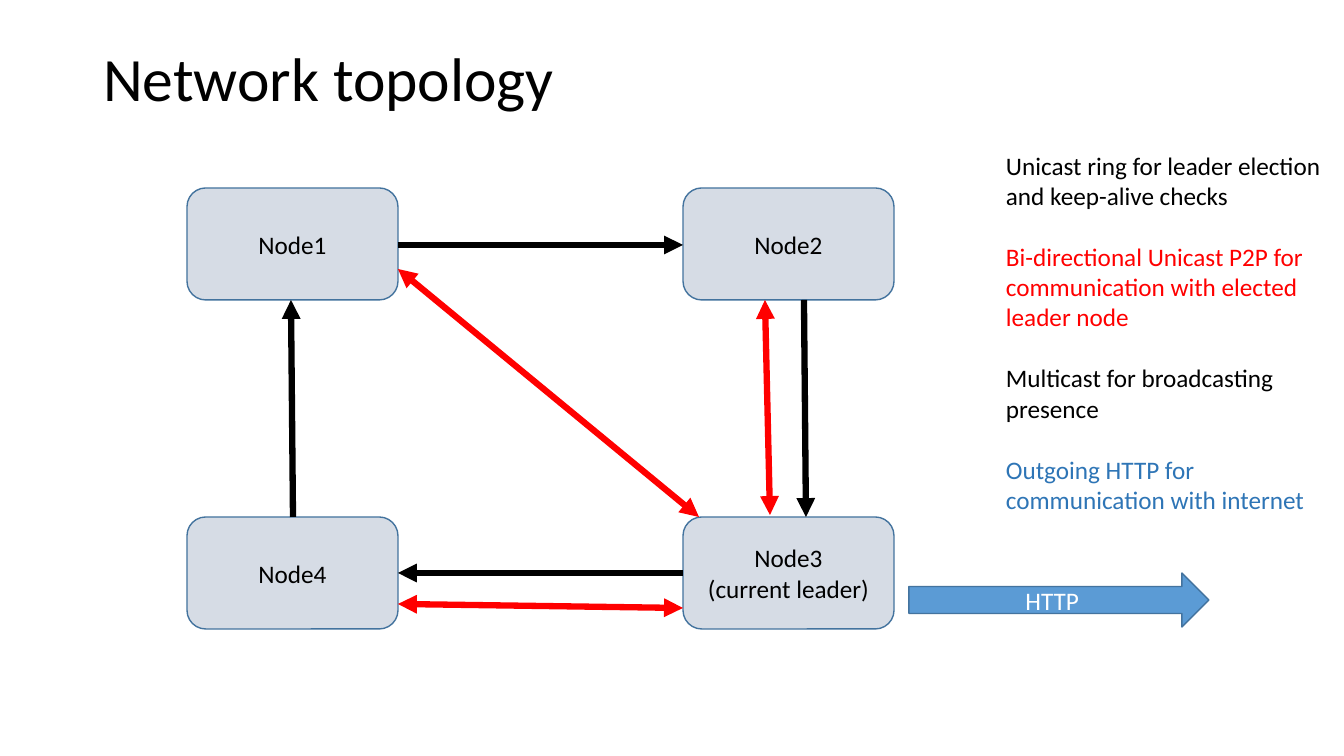
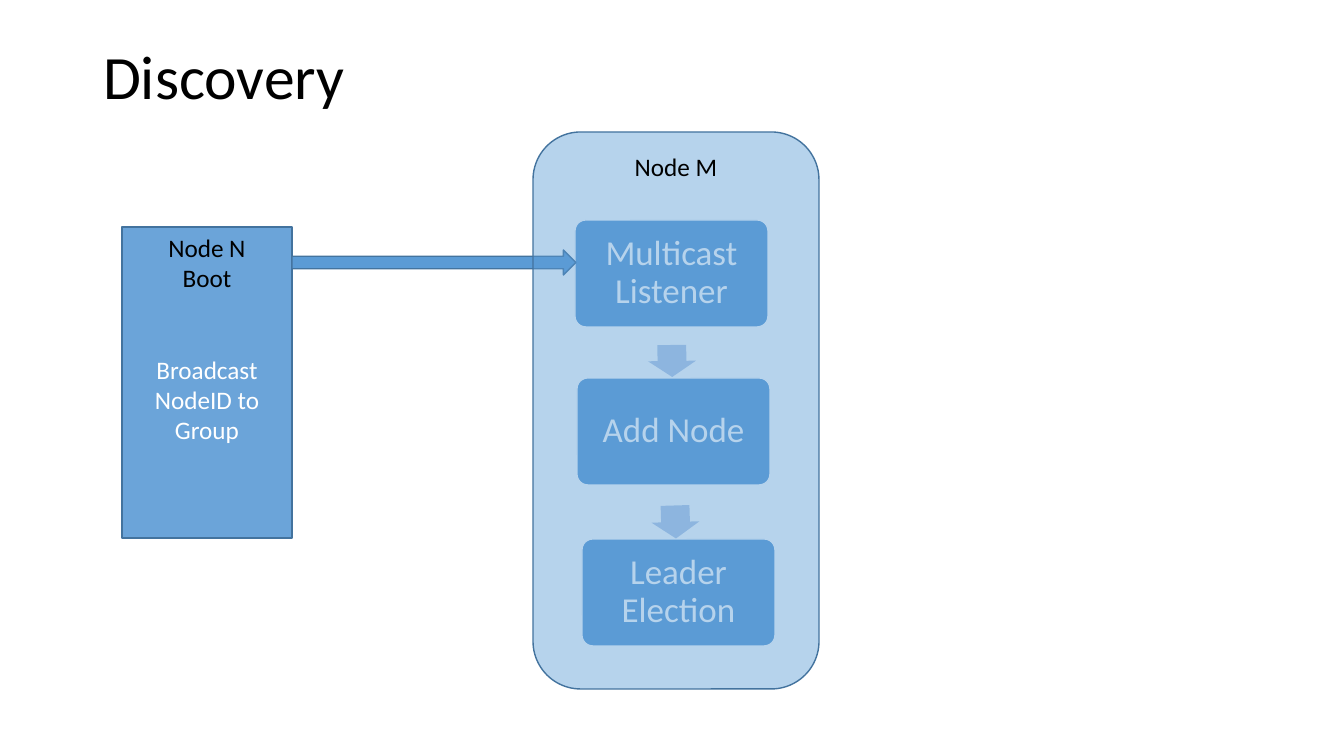
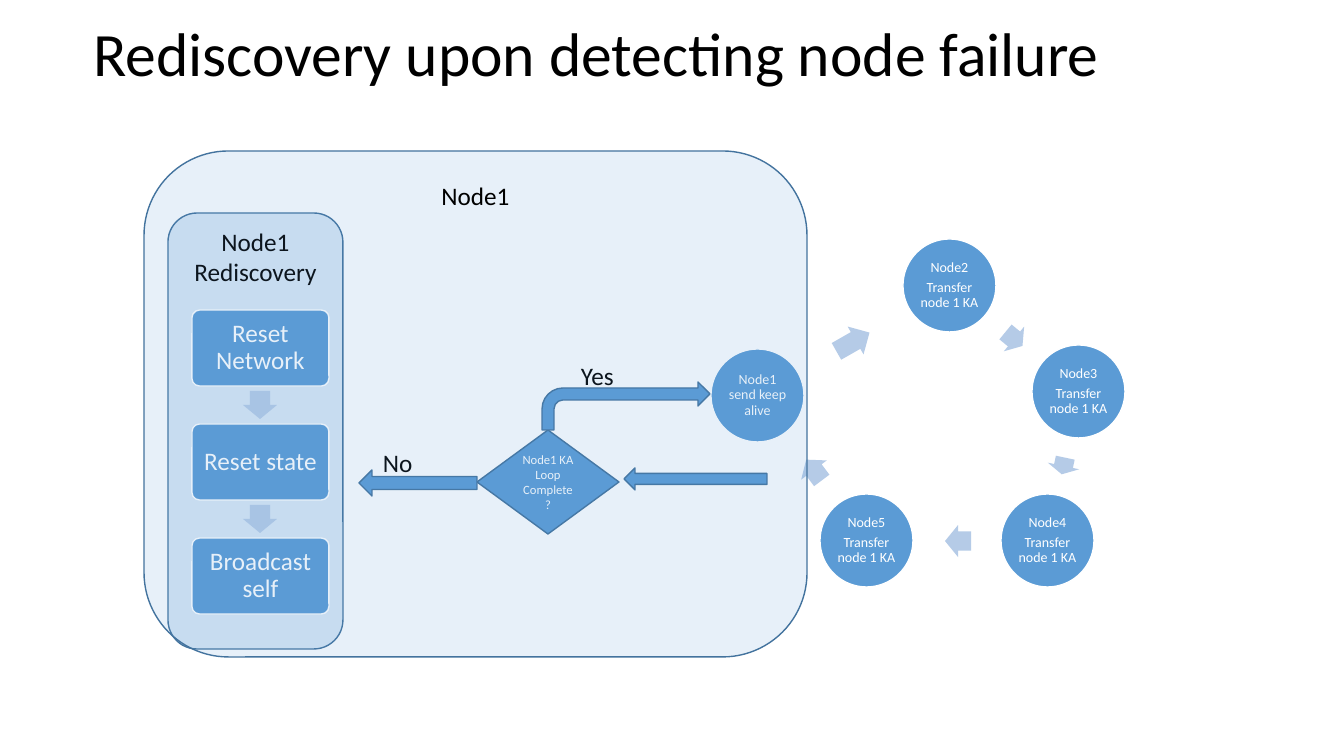
from lxml import etree
from pptx import Presentation
from pptx.dml.color import RGBColor
from pptx.enum.shapes import MSO_CONNECTOR, MSO_SHAPE
from pptx.enum.text import MSO_ANCHOR, MSO_AUTO_SIZE, PP_ALIGN
from pptx.oxml.ns import qn
from pptx.util import Pt

SCALE = 914400 / 100.8
FONT = "Calibri"

BLACK = RGBColor(0x00, 0x00, 0x00)
WHITE = RGBColor(0xFF, 0xFF, 0xFF)
RED = RGBColor(0xFF, 0x00, 0x00)
BLUE = RGBColor(0x5B, 0x9B, 0xD5)
DEEP = RGBColor(0x2E, 0x75, 0xB6)
EDGE = RGBColor(0x43, 0x73, 0x9E)
PALE = RGBColor(0xB5, 0xCB, 0xE7)
GREY = RGBColor(0xD6, 0xDC, 0xE5)

ROUND = MSO_SHAPE.ROUNDED_RECTANGLE
RECT = MSO_SHAPE.RECTANGLE
OVAL = MSO_SHAPE.OVAL
DIAMOND = MSO_SHAPE.DIAMOND
RIGHT = MSO_SHAPE.RIGHT_ARROW
LEFT = MSO_SHAPE.LEFT_ARROW
BENT = MSO_SHAPE.BENT_ARROW
STRAIGHT = MSO_CONNECTOR.STRAIGHT
TOP, MIDDLE = MSO_ANCHOR.TOP, MSO_ANCHOR.MIDDLE
START, CENTER = PP_ALIGN.LEFT, PP_ALIGN.CENTER
NO_FIT = MSO_AUTO_SIZE.NONE
LINE_GAP = 22


def px(*sizes):
    """Turn pixels into EMU."""
    return [round(size * SCALE) for size in sizes]


def write(shape, paras, size=18, align=CENTER, anchor=MIDDLE, lead=None,
          inset=None, wrap=True):
    """Fill a shape with paragraphs of (text, colour, points before)."""
    frame = shape.text_frame
    frame.auto_size = NO_FIT
    frame.word_wrap = wrap
    frame.vertical_anchor = anchor
    if inset is not None:
        frame.margin_left = frame.margin_right = px(inset)[0]
        frame.margin_top = frame.margin_bottom = px(inset)[0]
    for i, (text, color, before) in enumerate(paras):
        para = frame.paragraphs[0] if i == 0 else frame.add_paragraph()
        para.alignment = align
        para.space_before = Pt(before)
        if lead:
            para.line_spacing = lead
        run = para.add_run()
        run.text = text
        run.font.name = FONT
        run.font.size = Pt(size)
        run.font.color.rgb = color


def add_slide(deck, title, box):
    """Add a slide with its title placed in a box."""
    slide = deck.slides.add_slide(deck.slide_layouts[5])
    head = slide.shapes.title
    head.left, head.top, head.width, head.height = px(*box)
    write(head, [(title, BLACK, 0)], size=44, align=START, lead=0.9)
    return slide


def add_form(slide, kind, box, fill=BLUE, line=EDGE, alpha=None, adjust=(),
             turn=0):
    """Add a preset shape, with a see-through fill if alpha is given."""
    shape = slide.shapes.add_shape(kind, *px(*box))
    shape.shadow.inherit = False
    shape.rotation = turn
    for i, value in enumerate(adjust):
        shape.adjustments[i] = value
    shape.fill.solid()
    shape.fill.fore_color.rgb = fill
    if alpha:
        color = shape._element.spPr.find(qn("a:solidFill"))[0]
        etree.SubElement(color, qn("a:alpha")).set("val", str(alpha * 1000))
    if line is None:
        shape.line.fill.background()
    else:
        shape.line.color.rgb = line
        shape.line.width = Pt(1)
    return shape


def add_flow(slide, box, turn):
    """Add a pale block arrow that joins two steps."""
    add_form(slide, RIGHT, box, PALE, None, adjust=(0.6, 0.5), turn=turn)


def add_step(slide, box, text, size, inset):
    """Add one step of a process."""
    step = add_form(slide, ROUND, box, line=WHITE, adjust=(0.1,))
    write(step, [(text, WHITE, 0)], size, lead=0.9, inset=inset)


def add_disc(slide, spot, lines):
    """Add a round node of the ring."""
    disc = add_form(slide, OVAL, (*spot, 93, 93), line=WHITE)
    paras = [(text, WHITE, 3 if i else 0) for i, text in enumerate(lines)]
    write(disc, paras, 10, lead=0.9, inset=1)


def add_link(slide, ends, color, both=False):
    """Add a thick line with an arrowhead at its end, or at both ends."""
    link = slide.shapes.add_connector(STRAIGHT, *px(*ends))
    link.line.color.rgb = color
    link.line.width = Pt(4.5)
    line = link.line._get_or_add_ln()
    for tag in ("a:headEnd", "a:tailEnd") if both else ("a:tailEnd",):
        etree.SubElement(line, qn(tag)).set("type", "triangle")
    etree.SubElement(link._element.spPr, qn("a:effectLst"))


def add_label(slide, box, paras, wrap=False):
    """Add plain text that starts at the top left."""
    label = slide.shapes.add_textbox(*px(*box))
    write(label, paras, align=START, anchor=TOP, wrap=wrap)


def draw_network(deck):
    """Draw the nodes, their links and the legend."""
    slide = add_slide(deck, "Network topology", (93, 40, 1159, 84))
    west, east, north, south = 187, 683, 188, 517
    for x, y, lines in (
        (west, north, ["Node1"]),
        (west, south, ["Node4"]),
        (east, north, ["Node2"]),
        (east, south, ["Node3", "(current leader)"]),
    ):
        node = add_form(slide, ROUND, (x, y, 211, 112), GREY)
        write(node, [(text, BLACK, 0) for text in lines])
    for ends in ((398, 245, 683, 245), (804, 300, 806, 517),
                 (683, 573, 398, 573), (293, 517, 291, 300)):
        add_link(slide, ends, BLACK)
    for ends in ((398, 269, 699, 517), (398, 604, 683, 608),
                 (765, 300, 770, 515)):
        add_link(slide, ends, RED, both=True)
    write(add_form(slide, RIGHT, (909, 573, 300, 54)), [("HTTP", WHITE, 0)])
    add_label(slide, (996, 145, 348, 377), [
        ("Unicast ring for leader election and keep-alive checks", BLACK, 0),
        ("Bi-directional Unicast P2P for communication with elected "
         "leader node", RED, LINE_GAP),
        ("Multicast for broadcasting presence", BLACK, LINE_GAP),
        ("Outgoing HTTP for communication with internet", DEEP, LINE_GAP),
    ], wrap=True)


def draw_discovery(deck):
    """Draw a booting node that reaches a listening node."""
    slide = add_slide(deck, "Discovery", (93, 40, 1159, 79))
    for x, y, text in ((575, 220, "Multicast Listener"),
                       (577, 378, "Add Node"),
                       (582, 539, "Leader Election")):
        add_step(slide, (x, y, 193, 107), text, 25, 10)
    add_flow(slide, (656, 337, 32, 48), 89.2)
    add_flow(slide, (659, 498, 33, 48), 88.3)
    boot = add_form(slide, RECT, (122, 227, 170, 311), alpha=90)
    write(boot, [("Node N", BLACK, 0), ("Boot", BLACK, 0),
                 ("Broadcast NodeID to Group", WHITE, 2 * LINE_GAP)],
          anchor=TOP)
    add_form(slide, RIGHT, (292, 250, 284, 25))
    host = add_form(slide, ROUND, (533, 132, 286, 557), alpha=44)
    write(host, [("Node M", BLACK, 0)], anchor=TOP)


def draw_failure(deck):
    """Draw the keep-alive ring and the steps after a failure."""
    slide = add_slide(deck, "Rediscovery upon detecting node failure",
                      (83, 12, 1159, 90))
    spots = ((903, 239), (1032, 345), (1001, 494), (820, 494))
    for i, spot in enumerate(spots, 2):
        add_disc(slide, spot, [f"Node{i}", "Transfer node 1 KA"])
    add_disc(slide, (711, 349), ["Node1 send keep alive"])
    for x, y, width, turn in (
        (1003, 323, 22, 39.5),
        (1055, 450, 17, 101.9),
        (945, 525, 26, 180),
        (801, 454, 26, 233.1),
        (834, 326, 38, 330.3),
    ):
        add_flow(slide, (x, y, width, 32), turn)

    check = add_form(slide, DIAMOND, (477, 430, 142, 104))
    write(check, [(text, WHITE, 0)
                  for text in ("Node1 KA", "Loop", "Complete?")], 9)
    add_form(slide, LEFT, (359, 470, 118, 26))
    add_form(slide, BENT, (542, 382, 168, 48))
    add_label(slide, (571, 355, 53, 40), [("Yes", BLACK, 0)])
    add_label(slide, (373, 442, 50, 40), [("No", BLACK, 0)])
    add_form(slide, LEFT, (624, 468, 143, 22))

    panel = add_form(slide, ROUND, (168, 213, 175, 436), alpha=23)
    write(panel, [("Node1", BLACK, 0), ("Rediscovery", BLACK, 0)], anchor=TOP)
    top, pitch = 310, 114
    steps = ("Reset Network", "Reset state", "Broadcast self")
    for i, text in enumerate(steps):
        y = top + i * pitch
        add_step(slide, (192, y, 137, 76), text, 18, 7)
        if i:
            add_flow(slide, (246, y - 36, 28, 34), 90)
    frame = add_form(slide, ROUND, (144, 151, 663, 506), alpha=14)
    write(frame, [("Node1", BLACK, 0)], anchor=TOP)


def main():
    """Build and save the deck."""
    deck = Presentation()
    deck.slide_width, deck.slide_height = px(1344, 756)
    draw_network(deck)
    draw_discovery(deck)
    draw_failure(deck)
    deck.save("out.pptx")


main()
